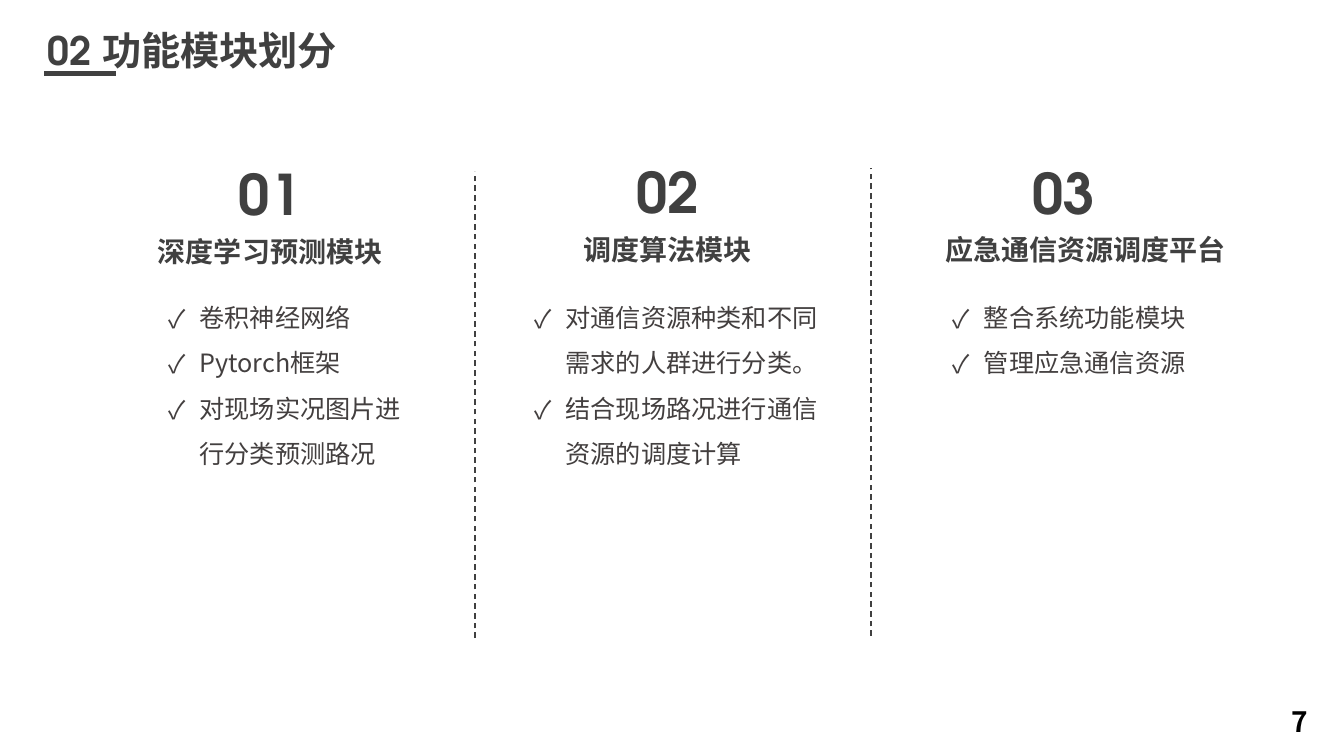
from lxml import etree
from pptx import Presentation
from pptx import util as u
from pptx.dml.color import RGBColor
from pptx.enum import dml, shapes, text
from pptx.oxml import ns

PX = 9144
DARK = RGBColor(0x40, 0x40, 0x40)
BODY = RGBColor(0x43, 0x3F, 0x3F)
BLACK = RGBColor(0, 0, 0)
HEAD_FONT = "TeX Gyre Adventor"
BODY_FONT = "Noto Sans CJK SC"


def add_text(parent, box, lines, size, color=DARK, face=HEAD_FONT, bold=True,
             align=text.PP_ALIGN.LEFT, checks=False):
    frame = parent.add_textbox(*[n * PX for n in box]).text_frame
    frame.word_wrap = True
    frame.auto_size = text.MSO_AUTO_SIZE.SHAPE_TO_FIT_TEXT
    frame.text = "\n".join(lines)
    for line in frame.paragraphs:
        line.alignment = align
        if checks:
            line.line_spacing = 1.5
            props = line._p.get_or_add_pPr()
            props.set("marL", str(31 * PX))
            props.set("indent", str(-31 * PX))
            etree.SubElement(props, ns.qn("a:buFont"), typeface=BODY_FONT)
            etree.SubElement(props, ns.qn("a:buChar"), char="✓")
        line.font.size = u.Pt(size)
        line.font.bold = bold
        line.font.color.rgb = color
        line.font.name = face
        defaults = line._p.pPr.find(ns.qn("a:defRPr"))
        etree.SubElement(defaults, ns.qn("a:ea"), typeface=BODY_FONT)


def add_rule(parent, ends, width):
    rule = parent.add_connector(shapes.MSO_CONNECTOR.STRAIGHT, *[n * PX for n in ends])
    rule.line.color.rgb = DARK
    rule.line.width = u.Pt(width)
    etree.SubElement(rule._element.spPr, ns.qn("a:effectLst"))
    return rule


deck = Presentation()
deck.slide_width = 1333 * PX
deck.slide_height = 750 * PX
slide = deck.slides.add_slide(deck.slide_layouts[6])

heading = slide.shapes.add_group_shape().shapes
add_text(heading, (37, 21, 427, 57), ["02 功能模块划分"], 28)
add_rule(heading, (44, 73, 115, 73), 3)

for x, bottom, top in [(471, 633, 170), (864, 631, 167)]:
    divider = add_rule(slide.shapes, (x, bottom, x, top), 1)
    divider.line.dash_style = dml.MSO_LINE.DASH

modules = [
    ("01", (200, 153, 136, 77), "深度学习预测模块", (143, 228, 250, 44),
     ["卷积神经网络", "Pytorch框架", "对现场实况图片进行分类预测路况"], (157, 280, 275, 192)),
    ("02", (594, 151, 136, 77), "调度算法模块", (546, 226, 233, 44),
     ["对通信资源种类和不同需求的人群进行分类。", "结合现场路况进行通信资源的调度计算"],
     (520, 280, 314, 192)),
    ("03", (987, 152, 136, 77), "应急通信资源调度平台", (923, 226, 307, 44),
     ["整合系统功能模块", "管理应急通信资源"], (935, 280, 295, 96)),
]
for number, number_box, name, name_box, points, points_box in modules:
    add_text(slide.shapes, number_box, [number], 40, align=text.PP_ALIGN.CENTER)
    add_text(slide.shapes, name_box, [name], 20, align=text.PP_ALIGN.CENTER)
    add_text(slide.shapes, points_box, points, 18, BODY, BODY_FONT, bold=False, checks=True)

add_text(slide.shapes, (1271, 694, 49, 44), ["7"], 20, BLACK, BODY_FONT)

deck.save("out.pptx")
